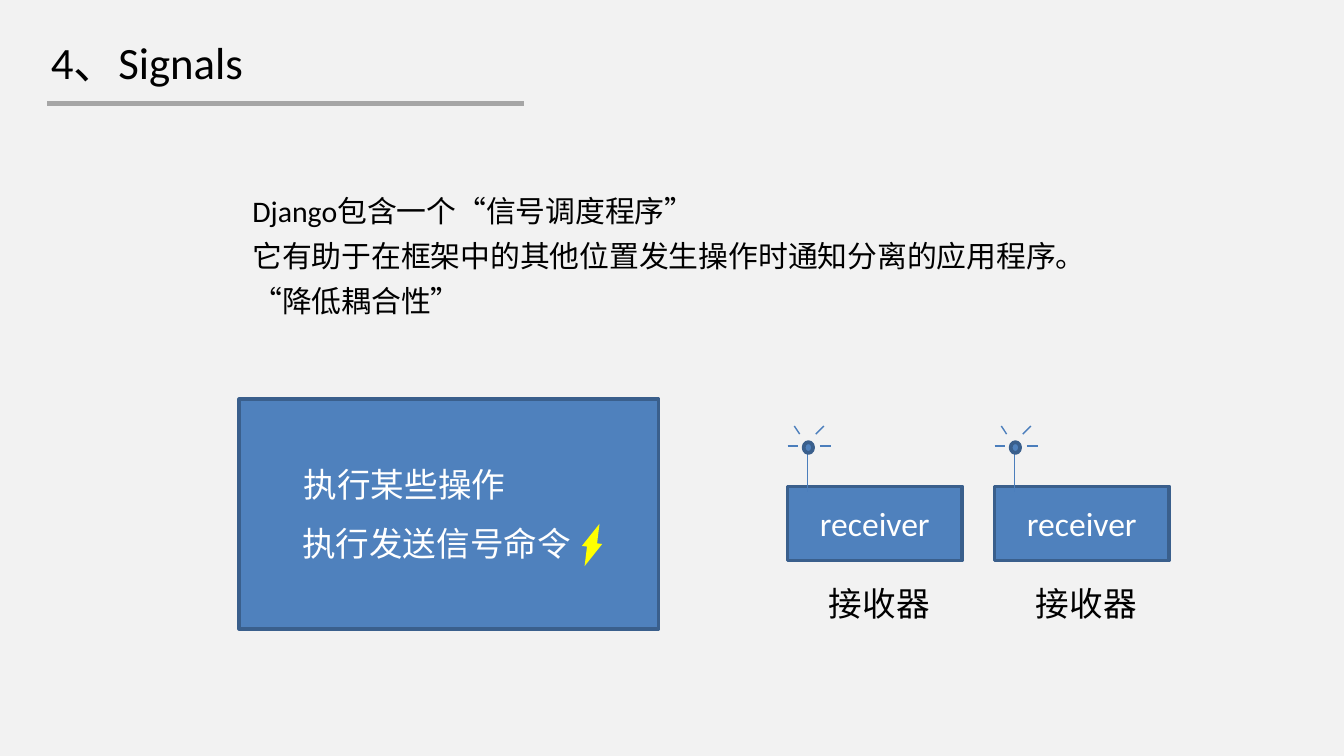
from lxml import etree
from pptx import Presentation
from pptx.dml.color import RGBColor
from pptx.enum.lang import MSO_LANGUAGE_ID
from pptx.enum.shapes import MSO_CONNECTOR, MSO_SHAPE
from pptx.enum.text import MSO_ANCHOR, MSO_AUTO_SIZE, PP_ALIGN
from pptx.oxml.ns import qn
from pptx.util import Inches, Pt

RECTANGLE, ELLIPSE, TRIANGLE = MSO_SHAPE.RECTANGLE, MSO_SHAPE.OVAL, MSO_SHAPE.ISOSCELES_TRIANGLE
STRAIGHT = MSO_CONNECTOR.STRAIGHT
LEFT, CENTER = PP_ALIGN.LEFT, PP_ALIGN.CENTER
CHINESE = MSO_LANGUAGE_ID.SIMPLIFIED_CHINESE

# Content
TITLE = "4、Signals"
EXPLANATION = [
    "Django包含一个“信号调度程序”",
    "它有助于在框架中的其他位置发生操作时通知分离的应用程序。",
    "“降低耦合性”",
]
SENDER_STEPS = [("执行某些操作", 1.72, CENTER), ("执行发送信号命令", 2.22, LEFT)]
RECEIVERS = [("receiver", "接收器"), ("receiver", "接收器")]

THEME = {
    "font": "Calibri",
    "background": "F2F2F2", "text": "000000", "box_text": "FFFFFF",
    "box": "4F81BD", "outline": "3A5F8C", "antenna": "4B7EBC",
    "rule": "A6A6A6", "bolt": "FFFF00",
    "title_size": 24, "body_size": 16, "label_size": 18,
    "rule_width": 2.25, "outline_width": 2, "antenna_width": 0.75,
}

# Layout in inches
SLIDE_WIDTH = 10
SLIDE_HEIGHT = SLIDE_WIDTH * 9 / 16
CONTENT_LEFT = 1.78
STEP_LEFT, STEP_TOP, STEP_PITCH = 2.15, 3.4, 0.44
RECEIVER_LEFT, RECEIVER_TOP, RECEIVER_PITCH = 5.86, 3.62, 1.54
# Antenna strokes, measured from the receiver's top left corner
MAST = (0.15, -0.24, 0.15, 0.04)
RAYS = [
    (0, -0.3, 0.08, -0.3),
    (0.24, -0.3, 0.32, -0.3),
    (0.09, -0.39, 0.05, -0.45),
    (0.21, -0.39, 0.27, -0.45),
]
BOLT_HALVES = [(4.34, 3.89, 7), (4.36, 4.04, 187)]


def color(name):
    return RGBColor.from_string(THEME[name])


def write(text_frame, lines, size, color_name, alignment=LEFT, spacing=None):
    text_frame.text = "\n".join(lines)
    for paragraph in text_frame.paragraphs:
        paragraph.alignment = alignment
        if spacing:
            paragraph.line_spacing = spacing
        for run in paragraph.runs:
            run.font.name = THEME["font"]
            run.font.size = Pt(THEME[size])
            run.font.color.rgb = color(color_name)
            run.font.language_id = CHINESE


def add_text(slide, box, lines, size, color_name="text", alignment=LEFT,
             spacing=None, wrap=False):
    text_frame = slide.shapes.add_textbox(*map(Inches, box)).text_frame
    text_frame.word_wrap = wrap
    text_frame.auto_size = MSO_AUTO_SIZE.NONE if wrap else MSO_AUTO_SIZE.SHAPE_TO_FIT_TEXT
    write(text_frame, lines, size, color_name, alignment, spacing)


def add_shape(slide, kind, box, fill="box", outline="outline"):
    shape = slide.shapes.add_shape(kind, *map(Inches, box))
    shape.shadow.inherit = False
    shape.fill.solid()
    shape.fill.fore_color.rgb = color(fill)
    if outline:
        shape.line.color.rgb = color(outline)
        shape.line.width = Pt(THEME["outline_width"])
    else:
        shape.line.fill.background()
    return shape


def add_line(slide, ends, name):
    line = slide.shapes.add_connector(STRAIGHT, *map(Inches, ends))
    line.line.color.rgb = color(name)
    line.line.width = Pt(THEME[f"{name}_width"])
    etree.SubElement(line._element.spPr, qn("a:effectLst"))


def add_receiver(slide, left, top, name, caption):
    box = add_shape(slide, RECTANGLE, (left, top, 1.3, 0.55))
    box.text_frame.vertical_anchor = MSO_ANCHOR.MIDDLE
    write(box.text_frame, [name], "label_size", "box_text", CENTER)
    add_text(slide, (left + 0.21, top + 0.67, 0.96, 0.4), [caption], "label_size")

    strokes = [(left + x1, top + y1, left + x2, top + y2)
               for x1, y1, x2, y2 in [MAST, *RAYS]]
    add_line(slide, strokes[0], "antenna")
    add_shape(slide, ELLIPSE, (left + 0.12, top - 0.33, 0.07, 0.08))
    for ray in strokes[1:]:
        add_line(slide, ray, "antenna")


def main():
    presentation = Presentation()
    presentation.slide_width = Inches(SLIDE_WIDTH)
    presentation.slide_height = Inches(SLIDE_HEIGHT)
    slide = presentation.slides.add_slide(presentation.slide_layouts[6])
    slide.background.fill.solid()
    slide.background.fill.fore_color.rgb = color("background")

    add_text(slide, (0.28, 0.21, 1.64, 0.5), [TITLE], "title_size", wrap=True)
    add_line(slide, (0.35, 0.77, 3.9, 0.77), "rule")
    add_text(slide, (CONTENT_LEFT, 1.32, 6.48, 1.11), EXPLANATION, "body_size", spacing=1.25)

    add_shape(slide, RECTANGLE, (CONTENT_LEFT, 2.97, 3.12, 1.71))
    for row, (step, width, alignment) in enumerate(SENDER_STEPS):
        box = (STEP_LEFT, STEP_TOP + row * STEP_PITCH, width, 0.4)
        add_text(slide, box, [step], "label_size", "box_text", alignment)
    for left, top, rotation in BOLT_HALVES:
        half = add_shape(slide, TRIANGLE, (left, top, 0.11, 0.18), "bolt", None)
        half.adjustments[0] = 1
        half.rotation = rotation

    for column, (name, caption) in enumerate(RECEIVERS):
        add_receiver(slide, RECEIVER_LEFT + column * RECEIVER_PITCH, RECEIVER_TOP, name, caption)

    presentation.save("out.pptx")


if __name__ == "__main__":
    main()
